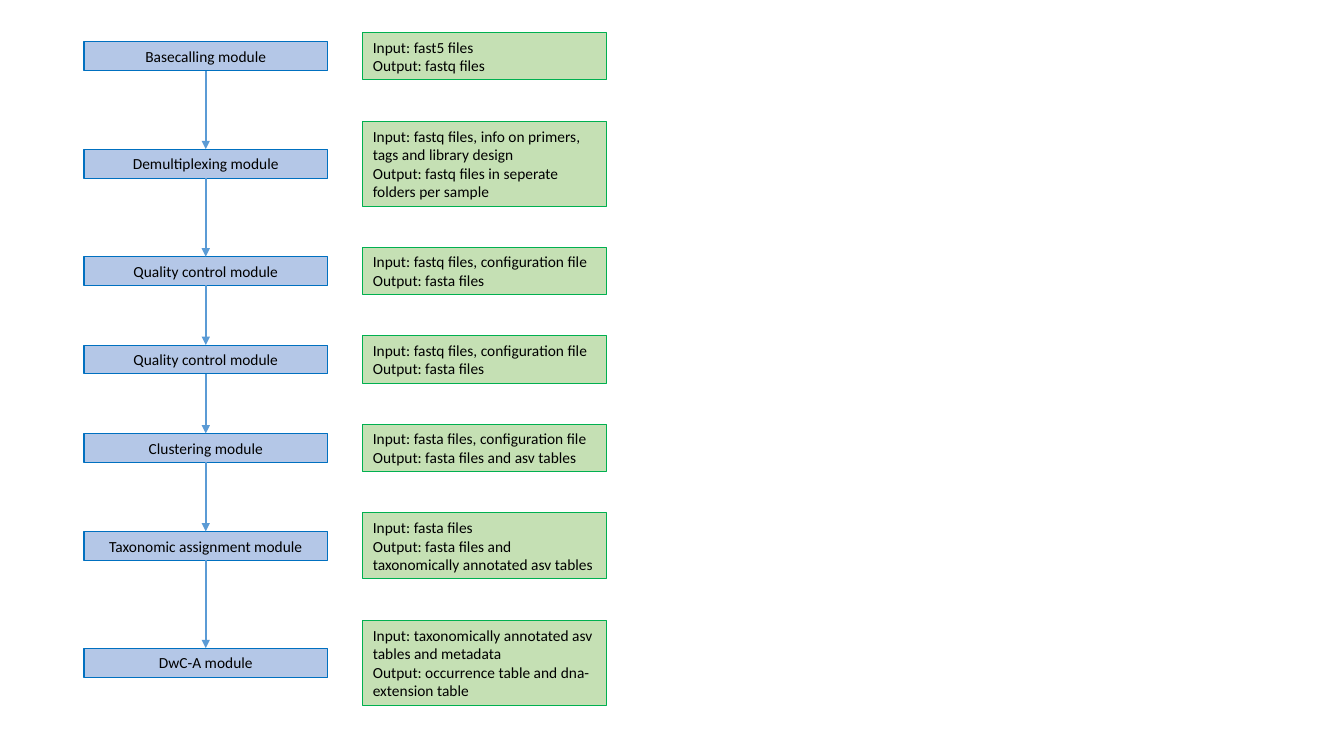
from dataclasses import dataclass

from lxml import etree
from pptx import Presentation
from pptx import util as u
from pptx.dml.color import RGBColor
from pptx.enum import shapes, text
from pptx.oxml import ns


@dataclass(frozen=True)
class Theme:
    font: str = "Calibri"
    size: float = 11
    ink: str = "000000"
    module_fill: str = "B4C7E7"
    module_line: str = "0070C0"
    files_fill: str = "C5E0B4"
    files_line: str = "00B050"
    arrow: str = "5B9BD5"
    border: float = 0.75
    arrow_width: float = 1.75


COLUMNS, ROWS = 16, 40
BOX_WIDTH = 2.9
MODULE_COLUMN, FILES_COLUMN = 1, 4.32
MODULE_HEIGHT = 1.53
FIRST_ROW, GAP = 1.73, 2.18
PADDING = 0.5  # rows added to the text lines of a box

# module, input, output, number of text lines in the files box
STEPS = [
    ("Basecalling module", "Input: fast5 files", "Output: fastq files", 2),
    ("Demultiplexing module",
     "Input: fastq files, info on primers, tags and library design",
     "Output: fastq files in seperate folders per sample", 4),
    ("Quality control module",
     "Input: fastq files, configuration file", "Output: fasta files", 2),
    ("Quality control module",
     "Input: fastq files, configuration file", "Output: fasta files", 2),
    ("Clustering module",
     "Input: fasta files, configuration file",
     "Output: fasta files and asv tables", 2),
    ("Taxonomic assignment module", "Input: fasta files",
     "Output: fasta files and taxonomically annotated asv tables", 3),
    ("DwC-A module",
     "Input: taxonomically annotated asv tables and metadata",
     "Output: occurrence table and dna-extension table", 4),
]


class FlowSlide:
    def __init__(self, presentation, theme):
        self.theme = theme
        self.slide = presentation.slides.add_slide(presentation.slide_layouts[6])
        self.column = presentation.slide_width / COLUMNS
        self.row = presentation.slide_height / ROWS

    def box(self, column, row, height, words, fill, line, align):
        """Add a text rectangle placed in grid columns and rows."""
        shape = self.slide.shapes.add_shape(
            shapes.MSO_SHAPE.RECTANGLE,
            round(column * self.column), round(row * self.row),
            round(BOX_WIDTH * self.column), round(height * self.row))
        shape.shadow.inherit = False
        shape.fill.solid()
        shape.fill.fore_color.rgb = RGBColor.from_string(fill)
        shape.line.color.rgb = RGBColor.from_string(line)
        shape.line.width = u.Pt(self.theme.border)
        frame = shape.text_frame
        frame.text = words
        frame.word_wrap = True
        frame.auto_size = text.MSO_AUTO_SIZE.SHAPE_TO_FIT_TEXT
        frame.vertical_anchor = text.MSO_ANCHOR.MIDDLE
        for paragraph in frame.paragraphs:
            paragraph.alignment = align
            for run in paragraph.runs:
                run.font.name = self.theme.font
                run.font.size = u.Pt(self.theme.size)
                run.font.color.rgb = RGBColor.from_string(self.theme.ink)
        return shape

    def module(self, middle, name):
        return self.box(MODULE_COLUMN, middle - MODULE_HEIGHT / 2, MODULE_HEIGHT, name,
                        self.theme.module_fill, self.theme.module_line,
                        text.PP_ALIGN.CENTER)

    def files(self, row, height, words):
        return self.box(FILES_COLUMN, row, height, words,
                        self.theme.files_fill, self.theme.files_line,
                        text.PP_ALIGN.LEFT)

    def arrow(self, upper, lower):
        """Join the bottom of one box to the top of the next."""
        connector = self.slide.shapes.add_connector(
            shapes.MSO_CONNECTOR.STRAIGHT, 0, 0, 0, 0)
        connector.begin_connect(upper, 2)
        connector.end_connect(lower, 0)
        connector.line.color.rgb = RGBColor.from_string(self.theme.arrow)
        connector.line.width = u.Pt(self.theme.arrow_width)
        properties = connector.element.spPr
        etree.SubElement(properties.find(ns.qn("a:ln")), ns.qn("a:tailEnd"),
                         type="triangle")
        etree.SubElement(properties, ns.qn("a:effectLst"))


def main():
    presentation = Presentation()
    presentation.slide_width = u.Inches(13.33)
    presentation.slide_height = u.Inches(7.5)
    flow = FlowSlide(presentation, Theme())

    modules = []
    row = FIRST_ROW
    for name, source, result, lines in STEPS:
        height = lines + PADDING
        modules.append(flow.module(row + height / 2, name))
        flow.files(row, height, f"{source}\n{result}")
        row += height + GAP
    for upper, lower in zip(modules, modules[1:]):
        flow.arrow(upper, lower)

    presentation.save("out.pptx")


if __name__ == "__main__":
    main()
